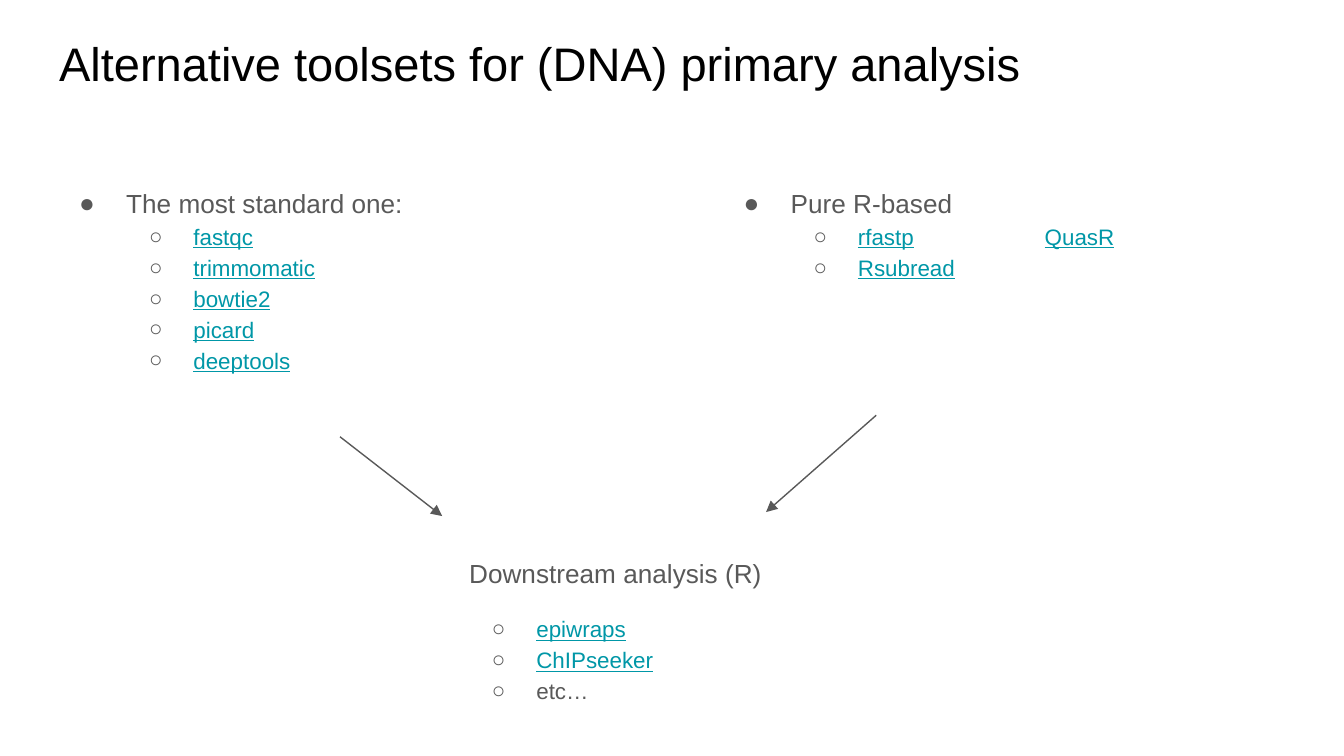
import dataclasses
import typing

import pptx
import pptx.dml.color
import pptx.enum.shapes
import pptx.enum.text
import pptx.oxml.ns
import pptx.util
from lxml import etree

COLORS = {"title": "000000", "text": "595959", "link": "0097A7"}
FONT = "Arial"
WIDE = 10
HIGH = WIDE * 9 / 16
CELL = WIDE / 100  # grid pitch in inches, for columns and rows


@dataclasses.dataclass(frozen=True)
class Run:
    text: str
    color: str = "link"


@dataclasses.dataclass(frozen=True)
class Line:
    runs: tuple[Run, ...]
    size: float = 12
    level: int = 1
    left: float = 1
    hang: float = 0.33
    bullet: str = "○"
    space: float = 0
    lead: float = 1.15
    tab: float = 0


@dataclasses.dataclass(frozen=True)
class Block:
    col: float
    row: float
    cols: float
    rows: float
    lines: tuple[Line, ...]


@dataclasses.dataclass(frozen=True)
class Arrow:
    start: tuple[float, float]
    end: tuple[float, float]


def head(text: str, bullet: str = "●", hang: float = 0.35) -> Line:
    return Line((Run(text, "text"),), 14, 0, 0.5, hang, bullet)


def links(*names: str) -> tuple[Line, ...]:
    return tuple(Line((Run(name),)) for name in names)


TITLE = Line((Run("Alternative toolsets for (DNA) primary analysis", "title"),),
             25.2, 0, 0, 0, "", lead=1)
PAIR = Line((Run("rfastp"), Run("\t", "text"), Run("QuasR")), tab=2.39)

BLOCKS = (
    Block(3.41, 1.54, 93.2, 6.3, (TITLE,)),
    Block(3.41, 12.62, 43.7, 19.9, (
        head("The most standard one:"),
        *links("fastqc", "trimmomatic", "bowtie2", "picard", "deeptools"))),
    Block(52.85, 12.62, 43.7, 16.9, (
        head("Pure R-based"), PAIR, *links("Rsubread"))),
    Block(28.92, 40.14, 36.1, 13.5, (
        head("Downstream analysis (R)", "", 0),
        Line((Run("epiwraps"),), space=12),
        *links("ChIPseeker"),
        Line((Run("etc…", "text"),)))),
)
ARROWS = (
    Arrow((25.3, 32.5), (32.9, 38.4)),
    Arrow((65.2, 30.9), (57, 38.1)),
)


def grid(*cells: float) -> list[int]:
    return [pptx.util.Inches(cell * CELL) for cell in cells]


def paint(name: str) -> pptx.dml.color.RGBColor:
    return pptx.dml.color.RGBColor.from_string(COLORS[name])


def node(base: typing.Any, tag: str, **attrs: str) -> typing.Any:
    return etree.SubElement(base, pptx.oxml.ns.qn(tag), attrs)


def indent(para: typing.Any, line: Line) -> None:
    """Set the margins, bullet and tab stop of a paragraph."""
    props = para._p.get_or_add_pPr()
    props.set("marL", str(pptx.util.Inches(line.left)))
    props.set("indent", str(-pptx.util.Inches(line.hang)))
    if line.bullet:
        node(node(props, "a:buClr"), "a:srgbClr", val=COLORS["text"])
        node(props, "a:buFont", typeface=FONT)
        node(props, "a:buChar", char=line.bullet)
    else:
        node(props, "a:buNone")
    if line.tab:
        node(node(props, "a:tabLst"), "a:tab",
             pos=str(pptx.util.Inches(line.tab)), algn="l")


def write(para: typing.Any, line: Line) -> None:
    para.level = line.level
    para.line_spacing = line.lead
    para.space_before = pptx.util.Pt(line.space)
    indent(para, line)
    for item in line.runs:
        run = para.add_run()
        run.text = item.text
        run.font.name = FONT
        run.font.size = pptx.util.Pt(line.size)
        run.font.color.rgb = paint(item.color)
        run.font.underline = item.color == "link"


def place(slide: typing.Any, block: Block) -> None:
    box = slide.shapes.add_textbox(
        *grid(block.col, block.row, block.cols, block.rows))
    frame = box.text_frame
    frame.word_wrap = True
    frame.vertical_anchor = pptx.enum.text.MSO_ANCHOR.TOP
    frame.margin_left = frame.margin_right = pptx.util.Inches(0.1)
    frame.margin_top = frame.margin_bottom = pptx.util.Inches(0.1)
    for spot, line in enumerate(block.lines):
        write(frame.add_paragraph() if spot else frame.paragraphs[0], line)


def point(slide: typing.Any, arrow: Arrow) -> None:
    link = slide.shapes.add_connector(
        pptx.enum.shapes.MSO_CONNECTOR.STRAIGHT,
        *grid(*arrow.start, *arrow.end))
    link.line.color.rgb = paint("text")
    link.line.width = pptx.util.Pt(0.75)
    node(link.line._get_or_add_ln(), "a:tailEnd",
         type="triangle", w="med", len="med")
    node(link._element.spPr, "a:effectLst")


def main() -> None:
    deck = pptx.Presentation()
    deck.slide_width = pptx.util.Inches(WIDE)
    deck.slide_height = pptx.util.Inches(HIGH)
    slide = deck.slides.add_slide(deck.slide_layouts[6])
    for block in BLOCKS:
        place(slide, block)
    for arrow in ARROWS:
        point(slide, arrow)
    deck.save("out.pptx")


if __name__ == "__main__":
    main()
